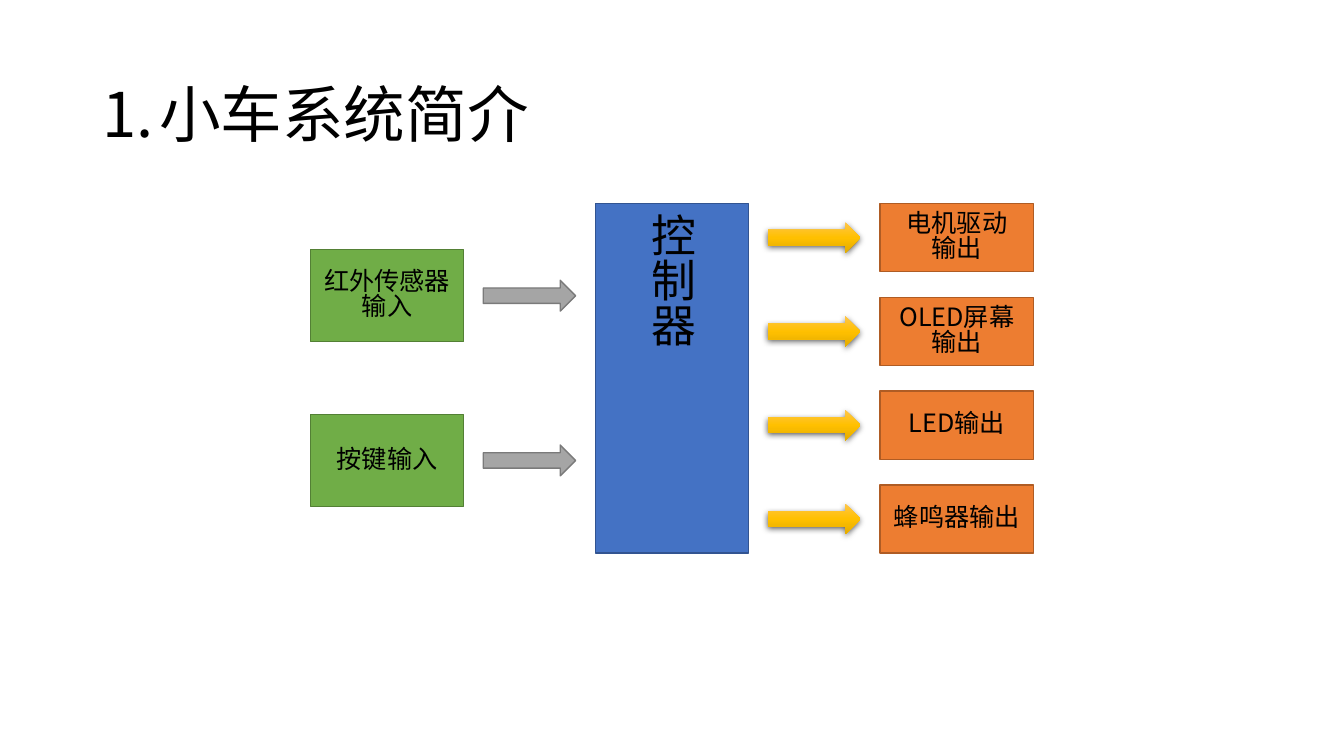
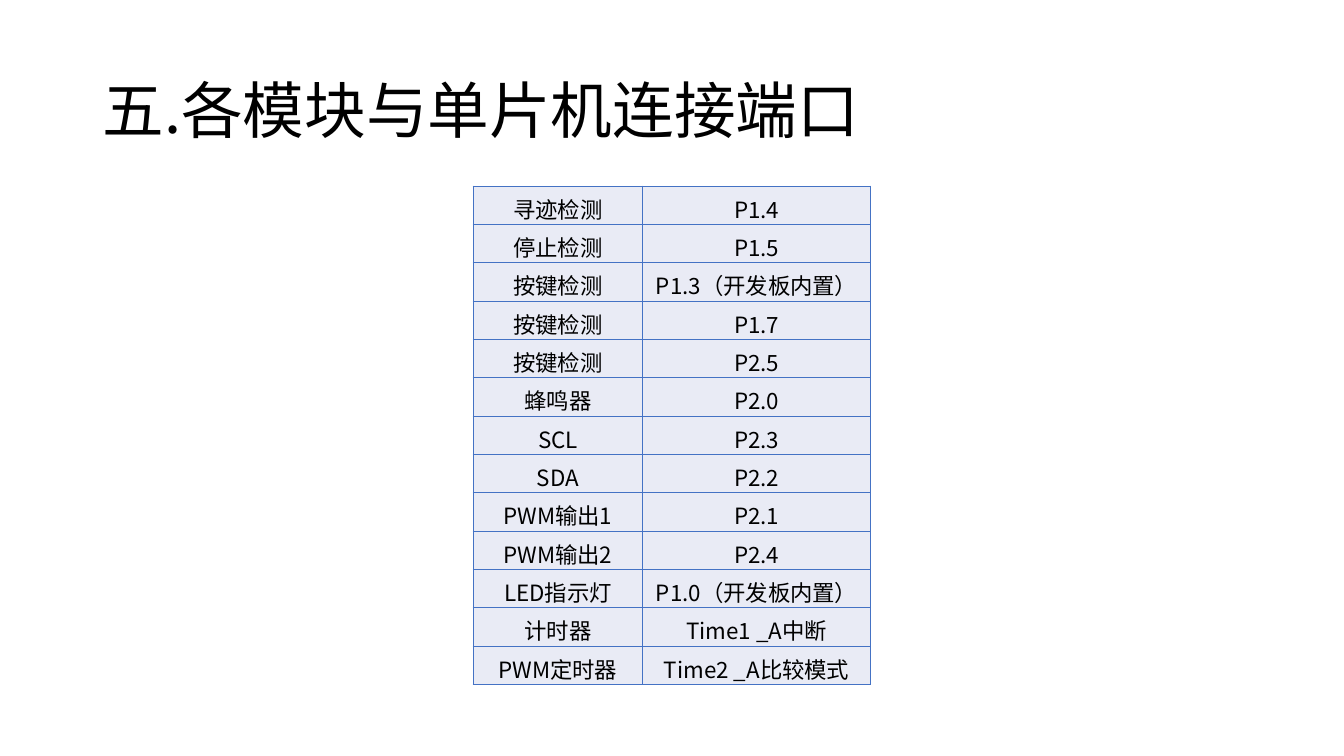
import lxml.etree
import pptx
import pptx.dml.color
import pptx.enum.shapes
import pptx.enum.text
import pptx.oxml.ns
import pptx.util

Pt = pptx.util.Pt
qn = pptx.oxml.ns.qn
ALIGN = pptx.enum.text.PP_ALIGN
ANCHOR = pptx.enum.text.MSO_ANCHOR
SHAPE = pptx.enum.shapes.MSO_SHAPE

FONT = "Noto Sans CJK SC"
COLORS = {
    "text": "000000",
    "controller": "4472C4", "controller_line": "325491",
    "input": "70AD47", "input_line": "538035",
    "output": "ED7D31", "output_line": "AF5C24",
    "arrow": "A5A5A5", "arrow_line": "7A7A7A",
    "gold_top": "FFC64B", "gold": "FFC000", "gold_bottom": "E3AB00",
    "cell": "E9EBF5", "border": "4472C4",
}


def color(name):
    return pptx.dml.color.RGBColor.from_string(COLORS[name])


def add_element(parent, tag, **attributes):
    values = {key: str(value) for key, value in attributes.items()}
    return lxml.etree.SubElement(parent, qn(tag), values)


class Deck:
    def __init__(self):
        self.presentation = pptx.Presentation()
        self.presentation.slide_width = Pt(960)
        self.presentation.slide_height = Pt(540)
        self.slide = None

    def add_text(self, paragraph, text, size):
        run = paragraph.add_run()
        run.text = text
        run.font.name = FONT
        run.font.size = Pt(size)
        run.font.color.rgb = color("text")
        add_element(run.font._element, "a:ea", typeface=FONT)

    def start(self, title, numbered=False):
        """Begin a slide; a numbered title gets an automatic "1."."""
        layout = self.presentation.slide_layouts[5]
        self.slide = self.presentation.slides.add_slide(layout)
        shape = self.slide.shapes.title
        shape.left, shape.top = Pt(66), Pt(28.75)
        shape.width, shape.height = Pt(828), Pt(104.4)
        frame = shape.text_frame
        frame.word_wrap = True
        frame.auto_size = pptx.enum.text.MSO_AUTO_SIZE.NONE
        frame.vertical_anchor = ANCHOR.MIDDLE
        paragraph = frame.paragraphs[0]
        paragraph.alignment = ALIGN.LEFT
        paragraph.line_spacing = 1.0 if numbered else 0.9
        if numbered:
            properties = paragraph._p.get_or_add_pPr()
            properties.set("marL", str(Pt(40.5)))
            properties.set("indent", str(-Pt(40.5)))
            add_element(properties, "a:buFont", typeface=FONT)
            add_element(properties, "a:buAutoNum", type="arabicPeriod")
        self.add_text(paragraph, title, 44)

    def shape(self, kind, left, middle, width, height):
        """Add a preset shape centred vertically on middle."""
        shape = self.slide.shapes.add_shape(
            kind, Pt(left), Pt(middle - height / 2), Pt(width), Pt(height))
        shape.shadow.inherit = False
        return shape

    def paint(self, shape, name):
        shape.fill.solid()
        shape.fill.fore_color.rgb = color(name)
        shape.line.color.rgb = color(name + "_line")
        shape.line.width = Pt(1)

    def box(self, lines, name, left, middle, width, height, size=18, vertical=False):
        shape = self.shape(SHAPE.RECTANGLE, left, middle, width, height)
        self.paint(shape, name)
        frame = shape.text_frame
        frame.word_wrap = True
        frame.vertical_anchor = ANCHOR.MIDDLE
        if vertical:
            frame._txBody.bodyPr.set("vert", "eaVert")
        for index, line in enumerate(lines):
            paragraph = frame.add_paragraph() if index else frame.paragraphs[0]
            paragraph.alignment = ALIGN.LEFT if vertical else ALIGN.CENTER
            if not vertical:
                paragraph.line_spacing = 0.83
            self.add_text(paragraph, line, size)

    def arrow(self, left, middle, width, height, golden=False):
        shape = self.shape(SHAPE.RIGHT_ARROW, left, middle, width, height)
        if golden:
            self.gild(shape)
        else:
            self.paint(shape, "arrow")

    def gild(self, shape):
        """Give a shape the gold gradient and a soft shadow below."""
        shape.line.fill.background()
        shape.fill.gradient()
        shape.fill.gradient_angle = 270
        properties = shape._element.spPr
        stops = properties.find(".//" + qn("a:gsLst"))
        for stop in list(stops):
            stops.remove(stop)
        for position, name in ((0, "gold_top"), (50, "gold"), (100, "gold_bottom")):
            stop = add_element(stops, "a:gs", pos=position * 1000)
            add_element(stop, "a:srgbClr", val=COLORS[name])
        shadow = add_element(
            properties.find(qn("a:effectLst")), "a:outerShdw", blurRad=Pt(4.5),
            dist=Pt(1.5), dir=5400000, algn="ctr", rotWithShape=0)
        shade = add_element(shadow, "a:srgbClr", val=COLORS["text"])
        add_element(shade, "a:alpha", val=63000)

    def table(self, rows, left, top, widths, row_height):
        table = self.slide.shapes.add_table(
            len(rows), len(widths), Pt(left), Pt(top),
            Pt(sum(widths)), Pt(row_height * len(rows))).table
        table.first_row = table.horz_banding = False
        for column, width in zip(table.columns, widths):
            column.width = Pt(width)
        for row, texts in zip(table.rows, rows):
            row.height = Pt(row_height)
            for cell, text in zip(row.cells, texts):
                self.cell(cell, text)

    def cell(self, cell, text):
        cell.margin_left = cell.margin_right = cell.margin_top = Pt(0.75)
        cell.margin_bottom = Pt(0)
        cell.vertical_anchor = ANCHOR.BOTTOM
        properties = cell._tc.get_or_add_tcPr()
        for side in ("a:lnL", "a:lnR", "a:lnT", "a:lnB"):
            line = add_element(properties, side, w=Pt(1))
            fill = add_element(line, "a:solidFill")
            add_element(fill, "a:srgbClr", val=COLORS["border"])
        cell.fill.solid()
        cell.fill.fore_color.rgb = color("cell")
        paragraph = cell.text_frame.paragraphs[0]
        paragraph.alignment = ALIGN.CENTER
        self.add_text(paragraph, text, 16)


def build_system_overview(deck):
    box_width, arrow_width, arrow_height, gap = 109.5, 66, 22, 14
    pitch = box_width + arrow_width + 2 * gap
    input_left, controller_left, output_left = (221.7 + pitch * i for i in range(3))
    arrow_offset = box_width + gap
    top, output_height, output_step = 145.4, 48.6, 67
    total_height = 3 * output_step + output_height
    center = top + total_height / 2

    deck.start("小车系统简介", numbered=True)
    deck.box(["控制器"], "controller", controller_left, center,
             box_width, total_height, size=32, vertical=True)

    for text, middle in (("红外传感器输入", 211.2), ("按键输入", 328.9)):
        deck.box([text], "input", input_left, middle, box_width, 65.8)
        deck.arrow(input_left + arrow_offset, middle, arrow_width, arrow_height)

    outputs = (["电机驱动", "输出"], ["OLED屏幕输出"], ["LED输出"], ["蜂鸣器输出"])
    for index, lines in enumerate(outputs):
        middle = top + output_height / 2 + index * output_step
        deck.box(lines, "output", output_left, middle, box_width, output_height)
        deck.arrow(controller_left + arrow_offset, middle,
                   arrow_width, arrow_height, golden=True)


def build_port_table(deck):
    deck.start("五.各模块与单片机连接端口")
    ports = [
        ("寻迹检测", "P1.4"),
        ("停止检测", "P1.5"),
        ("按键检测", "P1.3（开发板内置）"),
        ("按键检测", "P1.7"),
        ("按键检测", "P2.5"),
        ("蜂鸣器", "P2.0"),
        ("SCL", "P2.3"),
        ("SDA", "P2.2"),
        ("PWM输出1", "P2.1"),
        ("PWM输出2", "P2.4"),
        ("LED指示灯", "P1.0（开发板内置）"),
        ("计时器", "Time1 _A中断"),
        ("PWM定时器", "Time2 _A比较模式"),
    ]
    deck.table(ports, 338, 133, (121, 163), 27.4)


def main():
    deck = Deck()
    build_system_overview(deck)
    build_port_table(deck)
    deck.presentation.save("out.pptx")


if __name__ == "__main__":
    main()
